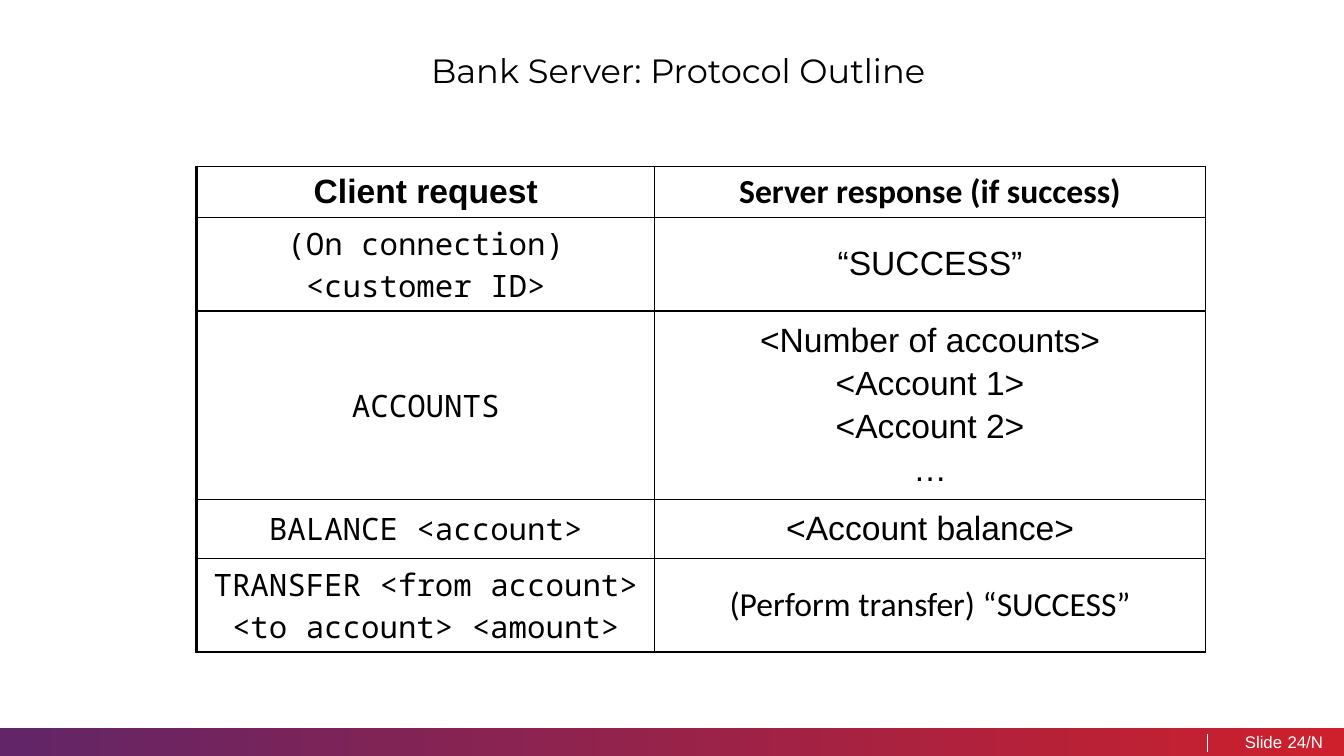
from lxml import etree
from pptx import Presentation
from pptx.dml.color import RGBColor
from pptx.enum.shapes import MSO_CONNECTOR, MSO_SHAPE
from pptx.enum.text import MSO_ANCHOR, PP_ALIGN
from pptx.oxml import parse_xml
from pptx.oxml.ns import nsdecls, qn
from pptx.util import Inches, Pt

RECT = MSO_SHAPE.RECTANGLE
LINE = MSO_CONNECTOR.STRAIGHT
TOP, MID = MSO_ANCHOR.TOP, MSO_ANCHOR.MIDDLE
LEFT, MIDST, RIGHT = PP_ALIGN.LEFT, PP_ALIGN.CENTER, PP_ALIGN.RIGHT

BLACK, WHITE = "000000", "FFFFFF"
VIOLET, RED = "622567", "CD202C"
SANS, MONO, BODY, HEAD = "Arial", "Noto Sans Mono", "Calibri", "Montserrat"


def hue(code):
    return RGBColor.from_string(code)


def put(item, **vals):
    for key, val in vals.items():
        setattr(item, key, val)


class Page:
    """Places elements by percent of the slide's width and height."""

    def __init__(self, deck):
        self.wide, self.high = deck.slide_width, deck.slide_height
        self.slide = deck.slides.add_slide(deck.slide_layouts[6])
        self.shapes = self.slide.shapes

    def x(self, part):
        return round(self.wide * part / 100)

    def y(self, part):
        return round(self.high * part / 100)

    def area(self, left, top, wide, high):
        return self.x(left), self.y(top), self.x(wide), self.y(high)

    def words(self, frame, text, face, size, ink=BLACK, bold=False,
              side=MIDST, gap=0, lead=1):
        for i, line in enumerate(text.split("\n")):
            para = frame.add_paragraph() if i else frame.paragraphs[0]
            put(para, alignment=side, line_spacing=lead,
                space_before=Pt(gap if i else 0))
            run = para.add_run()
            run.text = line
            put(run.font, name=face, size=Pt(size), bold=bold)
            run.font.color.rgb = hue(ink)

    def text(self, area, text, face, size, anchor=MID, **style):
        frame = self.shapes.add_textbox(*self.area(*area)).text_frame
        put(frame, word_wrap=True, vertical_anchor=anchor,
            margin_left=0, margin_right=0,
            margin_top=Inches(0.05), margin_bottom=Inches(0.05))
        self.words(frame, text, face, size, **style)

    def band(self, area, *inks):
        bar = self.shapes.add_shape(RECT, *self.area(*area))
        bar.shadow.inherit = False
        bar.line.fill.background()
        bar.fill.gradient()
        bar.fill.gradient_angle = 0
        for i, (stop, ink) in enumerate(zip(bar.fill.gradient_stops, inks)):
            stop.position = i
            stop.color.rgb = hue(ink)

    def rule(self, left, top, foot, ink):
        line = self.shapes.add_connector(
            LINE, self.x(left), self.y(top), self.x(left), self.y(foot))
        put(line.line, width=Pt(1))
        line.line.color.rgb = hue(ink)
        etree.SubElement(line._element.spPr, qn("a:effectLst"))

    def edge(self, cell, first):
        props = cell._tc.get_or_add_tcPr()
        for i, side in enumerate("LRTB"):
            width = Pt(2.25 if first and side == "L" else 1)
            props.insert(i, parse_xml(
                f'<a:ln{side} {nsdecls("a")} w="{width}"><a:solidFill>'
                f'<a:srgbClr val="{BLACK}"/></a:solidFill></a:ln{side}>'))

    def table(self, left, top, cols, rows, data):
        area = self.area(left, top, sum(cols), sum(rows))
        grid = self.shapes.add_table(len(rows), len(cols), *area).table
        put(grid, first_row=False, horz_banding=False)
        for col, wide in zip(grid.columns, cols):
            col.width = self.x(wide)
        for row, high, line in zip(grid.rows, rows, data):
            row.height = self.y(high)
            for i, (cell, (text, face, size, bold)) in enumerate(
                    zip(row.cells, line)):
                cell.vertical_anchor = MID
                cell.fill.background()
                self.edge(cell, i == 0)
                self.words(cell.text_frame, text, face, size,
                           bold=bold, gap=4)


def main():
    deck = Presentation()
    put(deck, slide_width=Inches(13.33), slide_height=Inches(7.5))
    page = Page(deck)

    # Footer band with slide number
    foot, deep = 96.3, 3.7
    page.band((0, foot, 100, deep), VIOLET, RED)
    page.text((92.3, foot, 3.1, deep), "Slide", SANS, 12,
              ink=WHITE, side=RIGHT)
    page.rule(89.85, 97.1, 99.5, WHITE)
    page.text((95.8, foot, 4.2, deep), "24/N", SANS, 12,
              ink=WHITE, side=LEFT)

    # Title
    page.text((2.95, 4.4, 95, 5.9), "Bank Server: Protocol Outline",
              HEAD, 24, anchor=TOP, lead=1.3)

    # Protocol table: requests and replies
    heads = [("Client request", SANS, 24, True),
             ("Server response (if success)", BODY, 24, True)]
    pairs = [
        ("(On connection) <customer ID>", "“SUCCESS”", SANS),
        ("ACCOUNTS",
         "<Number of accounts>\n<Account 1>\n<Account 2>\n…", SANS),
        ("BALANCE <account>", "<Account balance>", SANS),
        ("TRANSFER <from account> <to account> <amount>",
         "(Perform transfer) “SUCCESS”", BODY),
    ]
    data = [heads] + [[(ask, MONO, 22, False), (reply, face, 24, False)]
                      for ask, reply, face in pairs]
    page.table(14.63, 22, (34.1, 40.95), (6.75, 12.4, 23.8, 7.8, 12.4), data)

    deck.save("out.pptx")


if __name__ == "__main__":
    main()
